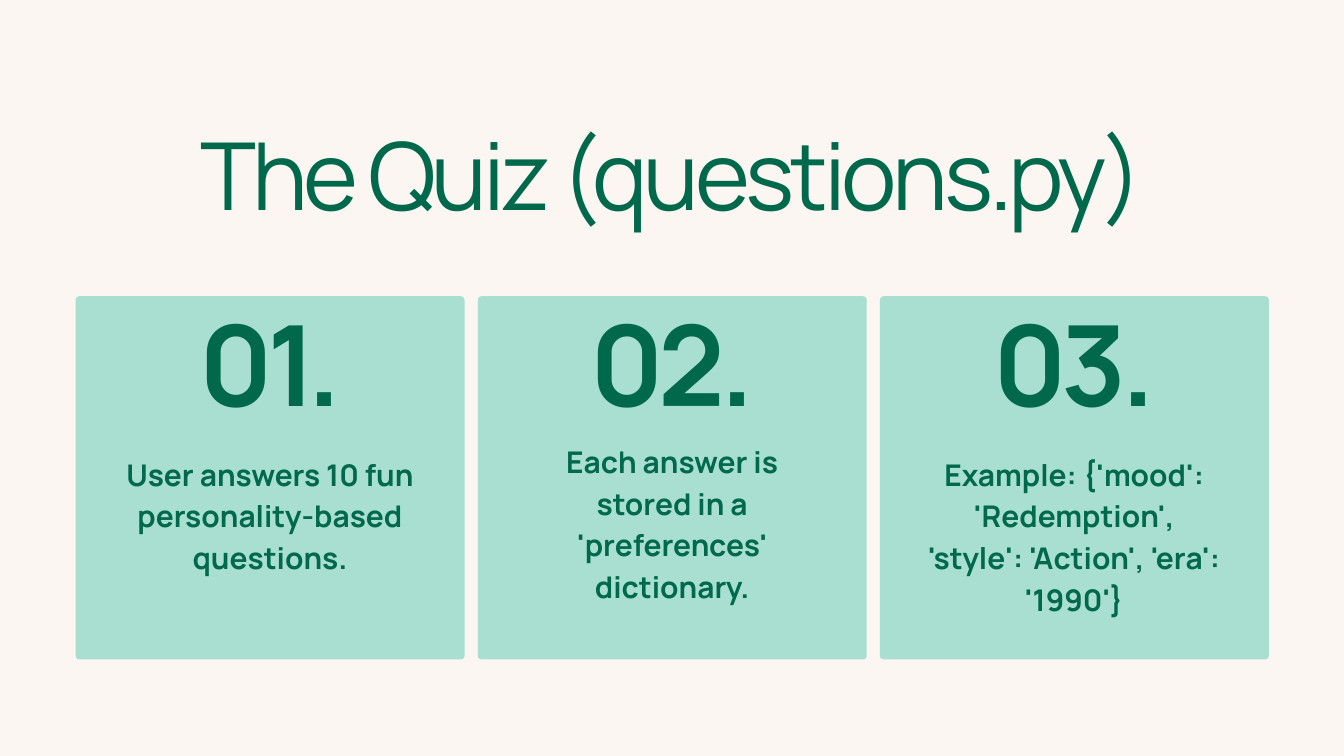
"""Build the quiz slide: a title above three numbered cards."""
from pptx import Presentation
from pptx.dml.color import RGBColor
from pptx.enum.shapes import MSO_SHAPE as Kind
from pptx.enum.text import MSO_ANCHOR as Anchor, MSO_AUTO_SIZE as Auto, PP_ALIGN as Align
from pptx.util import Cm, Pt

TITLE = "The Quiz (questions.py)"
CARDS = [
    ("01.", "User answers 10 fun personality-based questions.", 17.02),
    ("02.", "Each answer is stored in a 'preferences' dictionary.", 16.54),
    ("03.", "Example: {'mood': 'Redemption', 'style': 'Action', 'era': '1990'}", 17.02),
]
FONT, GREEN, MINT, CREAM = "Manrope", "00694C", "A9DFD0", "FBF6F1"
LEFT, TOP, WIDE, HIGH, STEP = 2.86, 11.2, 14.7, 13.73, 15.2


def paint(fill, color):
    fill.solid()
    fill.fore_color.rgb = RGBColor.from_string(color)


def write(shape, text, size, lead, bold=False, track=0):
    frame = shape.text_frame
    frame.word_wrap = True
    frame.auto_size = Auto.NONE
    frame.vertical_anchor = Anchor.TOP
    frame.margin_left = frame.margin_right = frame.margin_top = frame.margin_bottom = 0
    para = frame.paragraphs[0]
    para.alignment = Align.CENTER
    para.line_spacing = Pt(lead)
    run = para.add_run()
    run.text = text
    font = run.font
    font.name, font.size, font.bold = FONT, Pt(size), bold
    paint(font.fill, GREEN)
    if track:
        font._element.set("spc", str(round(track * 100)))


def add_card(shapes, left, number, text, text_top):
    card = shapes.add_shape(Kind.ROUNDED_RECTANGLE, Cm(left), Cm(TOP), Cm(WIDE), Cm(HIGH))
    card.adjustments[0] = 0.01
    card.shadow.inherit = False
    card.line.fill.background()
    paint(card.fill, MINT)
    mid = left + WIDE / 2
    for words, top, wide, high, style in (
        (number, 12.42, 6.73, 4.17, (120, 108, True, -5.5)),
        (text, text_top, 11.38, 6.67, (32, 44.8, True)),
    ):
        box = shapes.add_textbox(Cm(mid - wide / 2), Cm(top), Cm(wide), Cm(high))
        write(box, words, *style)


def main():
    deck = Presentation()
    deck.slide_width, deck.slide_height = Cm(50.8), Cm(28.58)
    slide = deck.slides.add_slide(deck.slide_layouts[5])
    paint(slide.background.fill, CREAM)
    title = slide.shapes.title
    title.left, title.top, title.width, title.height = Cm(6.15), Cm(5.49), Cm(38.48), Cm(9.83)
    write(title, TITLE, 100.4, 90.4, track=-4.6)
    for i, card in enumerate(CARDS):
        add_card(slide.shapes, LEFT + i * STEP, *card)
    deck.save("out.pptx")


if __name__ == "__main__":
    main()
